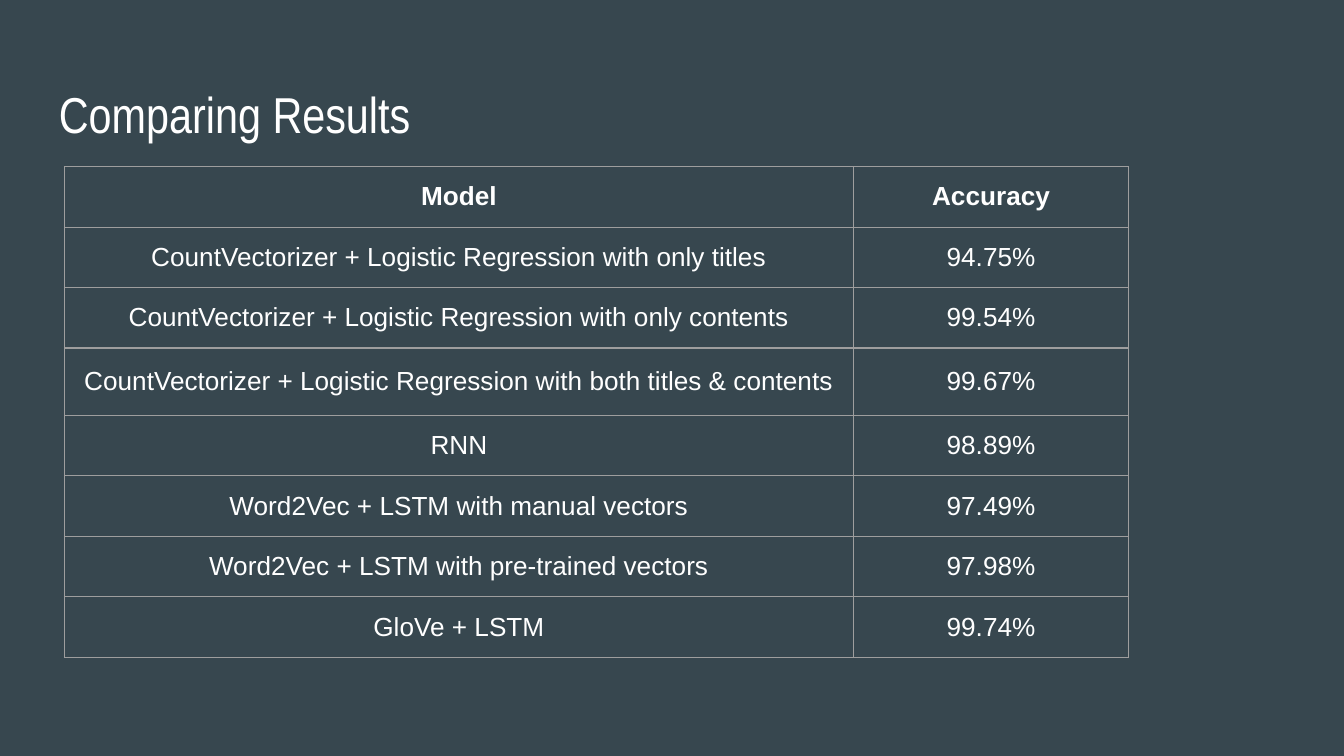
from dataclasses import dataclass

from lxml.etree import SubElement
from pptx import Presentation
from pptx.dml.color import RGBColor
from pptx.enum.text import MSO_ANCHOR, PP_ALIGN
from pptx.oxml.ns import qn
from pptx.slide import Slide
from pptx.table import _Cell
from pptx.text.text import _Paragraph
from pptx.util import Inches, Pt

COLORS = {"background": "37474F", "text": "FFFFFF", "border": "9E9E9E"}
SLIDE_WIDTH = Inches(10)
SLIDE_HEIGHT = SLIDE_WIDTH * 9 // 16
MARGIN = Inches(0.1)
BORDER_WIDTH = Pt(0.75)
COLUMN_WIDTHS = (5.87, 2.05)


@dataclass
class ResultRow:
    model: str
    accuracy: str
    height: float = 0.45
    bold: bool = False


ROWS = [
    ResultRow("Model", "Accuracy", bold=True),
    ResultRow("CountVectorizer + Logistic Regression with only titles", "94.75%"),
    ResultRow("CountVectorizer + Logistic Regression with only contents", "99.54%"),
    ResultRow(
        "CountVectorizer + Logistic Regression with both titles & contents",
        "99.67%",
        height=0.5,
    ),
    ResultRow("RNN", "98.89%"),
    ResultRow("Word2Vec + LSTM with manual vectors", "97.49%"),
    ResultRow("Word2Vec + LSTM with pre-trained vectors", "97.98%"),
    ResultRow("GloVe + LSTM", "99.74%"),
]


def add_run(
    paragraph: _Paragraph, text: str, size: float, font: str, bold: bool = False
) -> None:
    run = paragraph.add_run()
    run.text = text
    run.font.size = Pt(size)
    run.font.name = font
    run.font.bold = bold
    run.font.color.rgb = RGBColor.from_string(COLORS["text"])


def add_title(slide: Slide, text: str) -> None:
    shape = slide.shapes.add_textbox(
        Inches(0.34), Inches(0.52), Inches(9.32), Inches(0.63)
    )
    frame = shape.text_frame
    frame.word_wrap = True
    frame.margin_left = frame.margin_right = MARGIN
    frame.margin_top = frame.margin_bottom = MARGIN
    add_run(frame.paragraphs[0], text, 27, "Arial Narrow")


def set_borders(cell: _Cell) -> None:
    properties = cell._tc.get_or_add_tcPr()
    for side in ("a:lnL", "a:lnR", "a:lnT", "a:lnB"):
        line = SubElement(properties, qn(side), w=str(BORDER_WIDTH))
        fill = SubElement(line, qn("a:solidFill"))
        SubElement(fill, qn("a:srgbClr"), val=COLORS["border"])


def fill_cell(cell: _Cell, text: str, bold: bool) -> None:
    set_borders(cell)
    cell.fill.background()
    cell.vertical_anchor = MSO_ANCHOR.MIDDLE
    cell.margin_left = cell.margin_right = MARGIN
    cell.margin_top = cell.margin_bottom = MARGIN
    paragraph = cell.text_frame.paragraphs[0]
    paragraph.alignment = PP_ALIGN.CENTER
    add_run(paragraph, text, 14, "Arial", bold)


def add_results_table(slide: Slide, rows: list[ResultRow]) -> None:
    table = slide.shapes.add_table(
        len(rows),
        len(COLUMN_WIDTHS),
        Inches(0.48),
        Inches(1.24),
        Inches(sum(COLUMN_WIDTHS)),
        Inches(sum(row.height for row in rows)),
    ).table
    table.first_row = False
    table.horz_banding = False
    for column, width in zip(table.columns, COLUMN_WIDTHS):
        column.width = Inches(width)
    for table_row, row in zip(table.rows, rows):
        table_row.height = Inches(row.height)
        for cell, text in zip(table_row.cells, (row.model, row.accuracy)):
            fill_cell(cell, text, row.bold)


def main() -> None:
    presentation = Presentation()
    presentation.slide_width = SLIDE_WIDTH
    presentation.slide_height = SLIDE_HEIGHT
    slide = presentation.slides.add_slide(presentation.slide_layouts[6])
    background = slide.background.fill
    background.solid()
    background.fore_color.rgb = RGBColor.from_string(COLORS["background"])
    add_title(slide, "Comparing Results")
    add_results_table(slide, ROWS)
    presentation.save("out.pptx")


if __name__ == "__main__":
    main()
